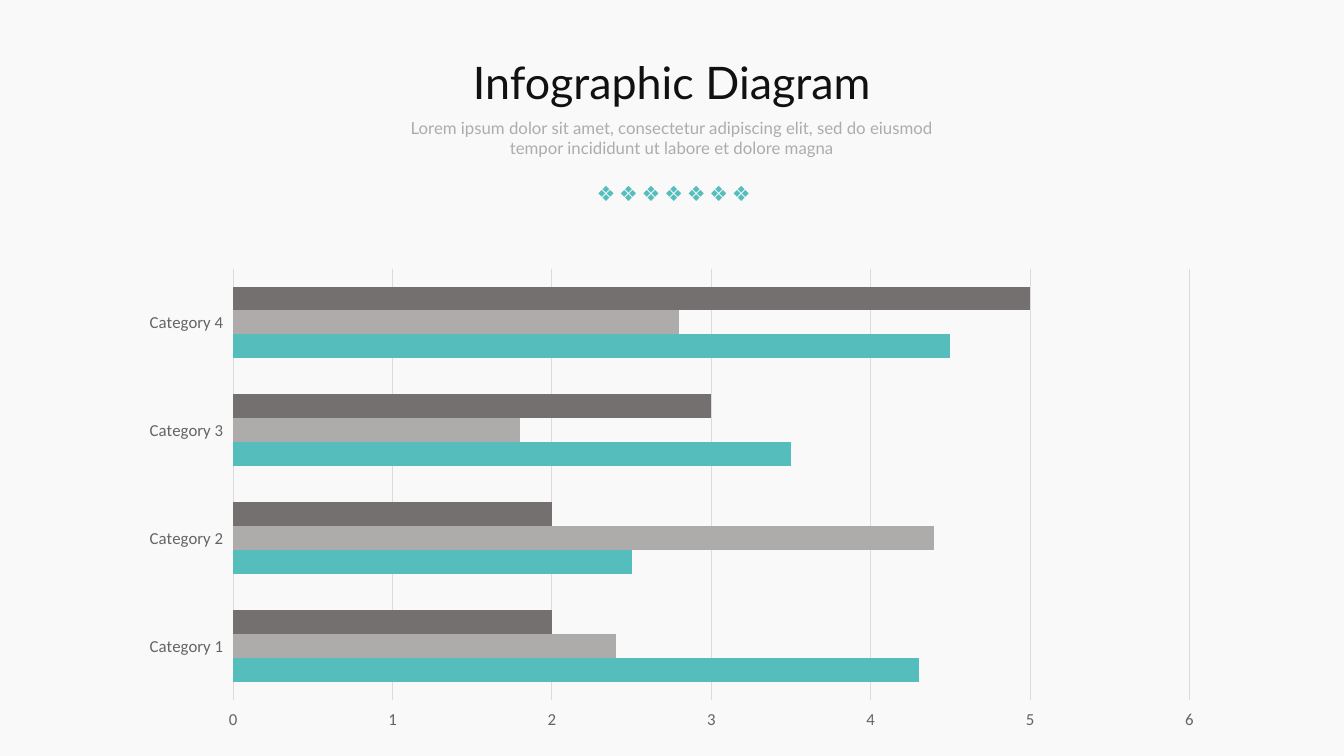
"""Build the infographic slide with a clustered bar chart."""
from pptx import Presentation
from pptx.chart.data import CategoryChartData
from pptx.dml.color import RGBColor
from pptx.enum import chart as ch, text
from pptx.util import Pt

TITLE = "Infographic Diagram"
SUBTITLE = ("Lorem ipsum dolor sit amet, consectetur adipiscing elit, "
            "sed do eiusmod tempor incididunt ut labore et dolore magna")
DIAMOND, DIAMOND_COUNT = "❖", 7
CATEGORIES = ["Category 1", "Category 2", "Category 3", "Category 4"]
SERIES = [
    ("Series 1", "56BDBD", (4.3, 2.5, 3.5, 4.5)),
    ("Series 2", "AEABAB", (2.4, 4.4, 1.8, 2.8)),
    ("Series 3", "757070", (2, 2, 3, 5)),
]
BACKGROUND, INK, MUTED, TEAL = "F9F9F9", "111111", "AFABAB", "56BDBD"
AXIS_INK, GRID = "646464", "DBDBDB"


def rgb(value):
    return RGBColor.from_string(value)


def style_font(font, name, size, color):
    font.name, font.size, font.bold = name, Pt(size), False
    font.color.rgb = rgb(color)


def place(sp, left, top, width, height):
    sp.left, sp.top, sp.width, sp.height = map(Pt, (left, top, width, height))


def write(sp, words, name, size, color, align, wrap):
    tf = sp.text_frame
    tf.text = words
    tf.word_wrap = wrap
    tf.auto_size = text.MSO_AUTO_SIZE.NONE
    tf.vertical_anchor = text.MSO_ANCHOR.TOP
    p = tf.paragraphs[0]
    p.alignment = align
    p.space_before, p.line_spacing = Pt(0), 1.0
    style_font(p.runs[0].font, name, size, color)
    return tf


def add_header(s):
    title, subtitle = s.shapes.title, s.placeholders[1]
    center = text.PP_ALIGN.CENTER
    place(title, 326.2, 35.3, 307.4, 46.1)
    write(title, TITLE, "Lato", 32, INK, center, False)
    place(subtitle, 275.8, 80.6, 408.2, 36)
    write(subtitle, SUBTITLE, "Lato", 12, MUTED, center, True)


def add_diamonds(s):
    left, step = 426.2, 16.1
    for i in range(DIAMOND_COUNT):
        box = s.shapes.add_textbox(Pt(left + i * step), Pt(128.9), Pt(13.7), Pt(18))
        tf = write(box, DIAMOND, "Calibri", 15, TEAL, text.PP_ALIGN.LEFT, False)
        tf.margin_left = tf.margin_right = tf.margin_top = tf.margin_bottom = 0


def add_bars(s):
    data = CategoryChartData()
    data.categories = CATEGORIES
    for name, _, values in SERIES:
        data.add_series(name, values)
    chart = s.shapes.add_chart(ch.XL_CHART_TYPE.BAR_CLUSTERED, Pt(91.4), Pt(185),
                               Pt(776.9), Pt(343.4), data).chart
    chart.has_legend = chart.has_title = False
    style_font(chart.font, "Calibri", 10, INK)
    plot = chart.plots[0]
    plot.gap_width, plot.vary_by_categories = 150, False
    for series, (_, color, _) in zip(plot.series, SERIES):
        series.format.fill.solid()
        series.format.fill.fore_color.rgb = rgb(color)
    for axis in (chart.category_axis, chart.value_axis):
        style_font(axis.tick_labels.font, "Calibri", 12, AXIS_INK)
        axis.format.line.fill.background()
    axis = chart.value_axis
    axis.minimum_scale, axis.maximum_scale, axis.major_unit = 0, 6, 1
    axis.has_major_gridlines = True
    line = axis.major_gridlines.format.line
    line.color.rgb, line.width = rgb(GRID), Pt(0.75)


def main():
    prs = Presentation()
    prs.slide_width, prs.slide_height = Pt(960), Pt(540)
    s = prs.slides.add_slide(prs.slide_layouts[0])
    s.background.fill.solid()
    s.background.fill.fore_color.rgb = rgb(BACKGROUND)
    add_bars(s)
    add_header(s)
    add_diamonds(s)
    prs.save("out.pptx")


if __name__ == "__main__":
    main()
